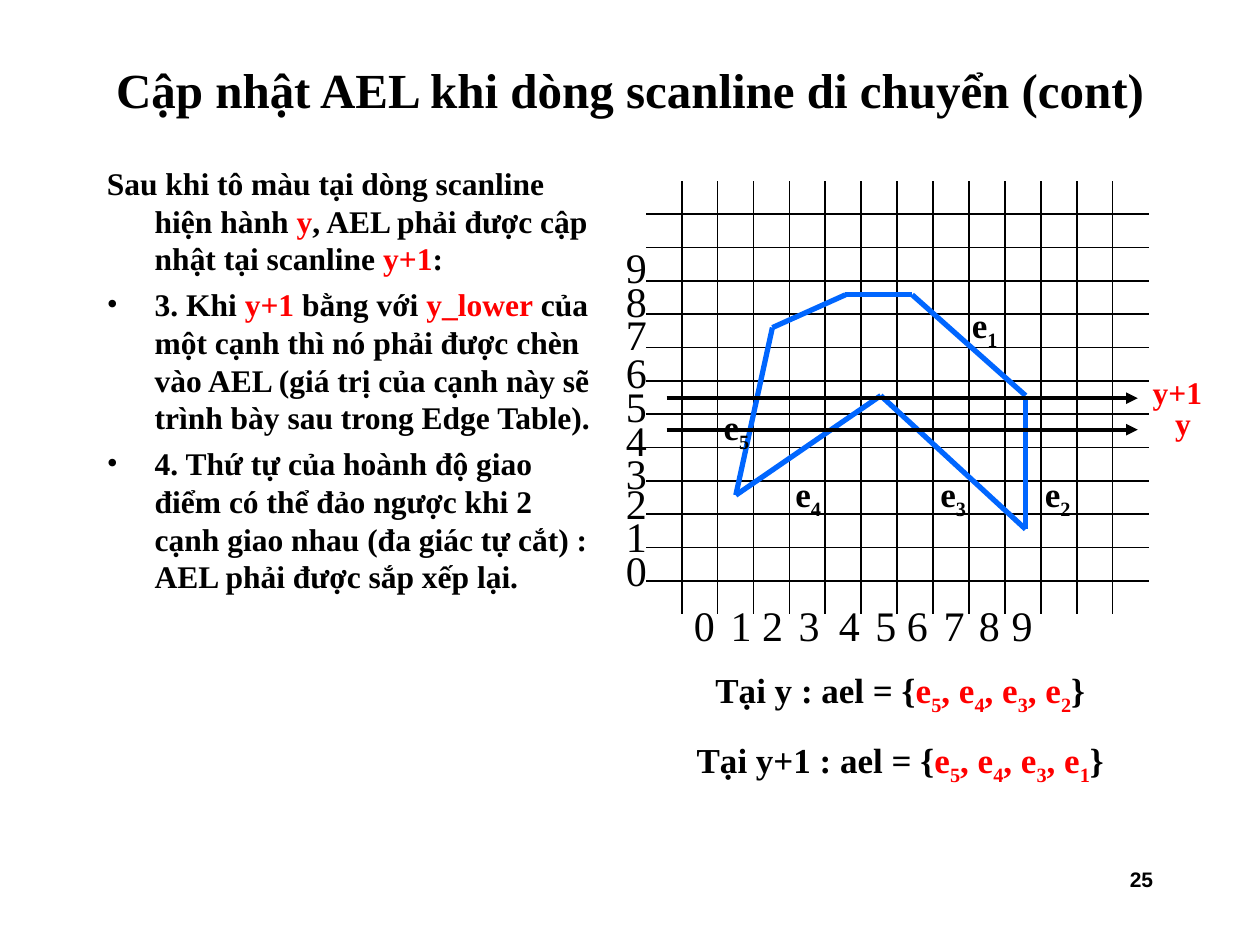
from dataclasses import dataclass
from itertools import pairwise

from lxml import etree
from pptx import Presentation
from pptx.dml.color import RGBColor
from pptx.enum.shapes import MSO_CONNECTOR
from pptx.enum.text import MSO_ANCHOR, PP_ALIGN
from pptx.oxml.ns import qn
from pptx.util import Inches, Pt

STRAIGHT = MSO_CONNECTOR.STRAIGHT
LEFT, CENTER, RIGHT = PP_ALIGN.LEFT, PP_ALIGN.CENTER, PP_ALIGN.RIGHT
TOP, MIDDLE = MSO_ANCHOR.TOP, MSO_ANCHOR.MIDDLE
BLACK, RED, BLUE = "000000", "FF0000", "0066FF"
SERIF, SANS = "Times New Roman", "Arial"
INDENT = 0.38

Point = tuple[float, float]


@dataclass(frozen=True)
class Run:
    text: str
    color: str = BLACK
    subscript: bool = False
    size: float | None = None


@dataclass(frozen=True)
class Paragraph:
    runs: list[Run]
    bullet: bool = False


@dataclass(frozen=True)
class Style:
    size: float
    bold: bool = True
    font: str = SERIF
    align: PP_ALIGN = CENTER
    anchor: MSO_ANCHOR = TOP
    space_before: float = 0
    hanging: bool = False
    wrap: bool = False


TITLE = Style(28, anchor=MIDDLE, wrap=True)
BODY = Style(18, align=LEFT, space_before=4.5, hanging=True, wrap=True)
AXIS = Style(24, bold=False)
EDGE = Style(20)
SCANLINE = Style(18)
RESULT = Style(20, space_before=12.5, wrap=True)
PAGE = Style(12, font=SANS, align=RIGHT, wrap=True)


def rgb(color: str) -> RGBColor:
    return RGBColor.from_string(color)


def edge(number: int, color: str = BLACK) -> list[Run]:
    return [Run("e", color), Run(str(number), color, subscript=True)]


def edge_set(lead: str, numbers: list[int]) -> Paragraph:
    """Build a line such as 'lead{e1, e2}'."""
    runs = [Run(lead + "{")]
    for position, number in enumerate(numbers):
        if position:
            runs.append(Run(", ", RED))
        runs += edge(number, RED)
    return Paragraph(runs + [Run("}")])


def add_text(slide, left: float, top: float, width: float, height: float,
             paragraphs: list[Paragraph], style: Style) -> None:
    box = slide.shapes.add_textbox(*map(Inches, (left, top, width, height)))
    frame = box.text_frame
    frame.word_wrap = style.wrap
    frame.vertical_anchor = style.anchor
    for index, content in enumerate(paragraphs):
        paragraph = frame.paragraphs[0] if index == 0 else frame.add_paragraph()
        properties = paragraph._p.get_or_add_pPr()
        if style.hanging:
            properties.set("marL", str(Inches(INDENT)))
            properties.set("indent", str(Inches(-INDENT)))
        if content.bullet:
            etree.SubElement(properties, qn("a:buFont")).set("typeface", SERIF)
            etree.SubElement(properties, qn("a:buChar")).set("char", "•")
        paragraph.alignment = style.align
        if index:
            paragraph.space_before = Pt(style.space_before)
        for piece in content.runs:
            run = paragraph.add_run()
            run.text = piece.text
            formats = {"name": style.font, "size": Pt(piece.size or style.size),
                       "bold": style.bold}
            for attribute, value in formats.items():
                setattr(run.font, attribute, value)
            run.font.color.rgb = rgb(piece.color)
            if piece.subscript:
                run._r.get_or_add_rPr().set("baseline", "-25000")


def add_line(slide, start: Point, end: Point, color: str, width: float,
             arrow: bool = False) -> None:
    line = slide.shapes.add_connector(STRAIGHT, *map(Inches, start + end))
    line.line.color.rgb = rgb(color)
    line.line.width = Pt(width)
    if arrow:
        outline = line.line._get_or_add_ln()
        etree.SubElement(outline, qn("a:tailEnd")).set("type", "triangle")
    etree.SubElement(line._element.spPr, qn("a:effectLst"))


def add_grid(slide) -> None:
    left, right, top, bottom = 5.13, 9.12, 1.44, 4.87
    rows, first_row, last_row = 12, 1.70, 4.61
    columns, first_column, last_column = 13, 5.41, 8.83
    for row in range(rows):
        y = first_row + row * (last_row - first_row) / (rows - 1)
        add_line(slide, (left, y), (right, y), BLACK, 1)
    for column in range(columns):
        x = first_column + column * (last_column - first_column) / (columns - 1)
        add_line(slide, (x, top), (x, bottom), BLACK, 1)


def add_axis_labels(slide) -> None:
    x_lefts = [5.41, 5.7, 5.95, 6.24, 6.56, 6.85, 7.1, 7.39, 7.67, 7.93]
    y_tops = [4.27, 4, 3.74, 3.5, 3.24, 2.97, 2.7, 2.4, 2.14, 1.87]
    places = [(left, 4.71) for left in x_lefts] + [(4.87, top) for top in y_tops]
    for index, (left, top) in enumerate(places):
        digit = Paragraph([Run(str(index % len(x_lefts)))])
        add_text(slide, left, top, 0.36, 0.5, [digit], AXIS)


def add_polygon(slide) -> None:
    vertices = [(7.24, 2.34), (8.14, 3.14), (8.14, 4.2), (6.99, 3.14),
                (5.84, 3.93), (6.13, 2.6), (6.71, 2.34)]
    for start, end in pairwise(vertices + vertices[:1]):
        add_line(slide, start, end, BLUE, 3)
    edge_places = {1: (7.6, 2.36), 2: (8.18, 3.7), 3: (7.35, 3.7),
                   4: (6.2, 3.7), 5: (5.63, 3.17)}
    for number, (left, top) in edge_places.items():
        add_text(slide, left, top, 0.43, 0.48, [Paragraph(edge(number))], EDGE)


def add_scanlines(slide) -> None:
    for name, y, left, width in (("y", 3.41, 9.16, 0.46), ("y+1", 3.16, 9.03, 0.63)):
        add_line(slide, (5.29, y), (9.03, y), BLACK, 2.25, arrow=True)
        add_text(slide, left, y - 0.25, width, 0.4,
                 [Paragraph([Run(name, RED)])], SCANLINE)


def main() -> None:
    deck = Presentation()
    deck.slide_width, deck.slide_height = Inches(10), Inches(7.5)
    slide = deck.slides.add_slide(deck.slide_layouts[6])

    title = Run("Cập nhật AEL khi dòng scanline di chuyển (cont)")
    add_text(slide, 0.75, 0.33, 8.5, 0.75, [Paragraph([title])], TITLE)
    rules = [
        Paragraph([Run("Sau khi tô màu tại dòng scanline hiện hành "), Run("y", RED),
                   Run(", AEL phải được cập nhật tại scanline "),
                   Run("y+1", RED), Run(":")]),
        Paragraph([Run("3. Khi "), Run("y+1", RED), Run(" bằng với "),
                   Run("y_lower", RED),
                   Run(" của một cạnh thì nó phải được chèn vào AEL (giá trị của "
                       "cạnh này sẽ trình bày sau trong Edge Table).")], bullet=True),
        Paragraph([Run("4. Thứ tự của hoành độ giao điểm có thể đảo ngược khi 2 cạnh "
                       "giao nhau (đa giác tự cắt) : AEL phải được sắp xếp lại.")],
                  bullet=True),
    ]
    add_text(slide, 0.75, 1.25, 4.04, 5.42, rules, BODY)

    add_grid(slide)
    add_axis_labels(slide)
    add_polygon(slide)
    add_scanlines(slide)

    at_y = edge_set("Tại y : ael = ", [5, 4, 3, 2])
    at_next = edge_set("Tại y+1 : ael = ", [5, 4, 3, 1])
    # An empty line's height separates the two results.
    add_text(slide, 4.96, 5.26, 4.37, 1.6, [at_y, at_next], RESULT)
    add_text(slide, 7.17, 6.83, 2.08, 0.5, [Paragraph([Run("25")])], PAGE)
    deck.save("out.pptx")


if __name__ == "__main__":
    main()
